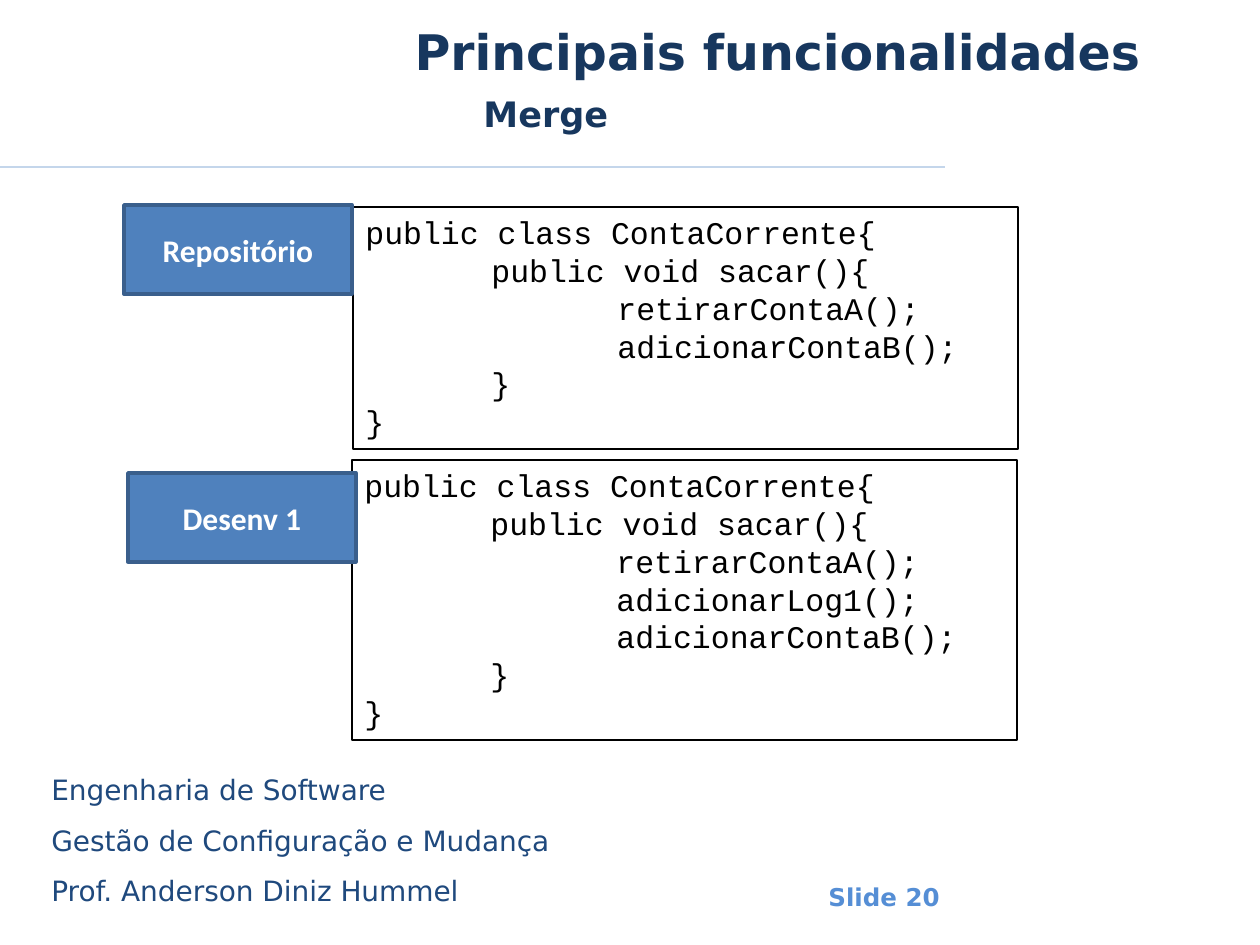
from dataclasses import dataclass

import pptx
import pptx.dml.color
import pptx.enum.shapes
import pptx.enum.text
import pptx.oxml.ns
import pptx.util
from lxml import etree

PX_PER_INCH = 126
HEADING_FONT = "DejaVu Sans"
ALIGN = pptx.enum.text.PP_ALIGN
ANCHOR = pptx.enum.text.MSO_ANCHOR


@dataclass(frozen=True)
class Area:
    left: int
    top: int
    width: int
    height: int


@dataclass(frozen=True)
class Style:
    font: str
    size: int
    color: str
    bold: bool = False


@dataclass(frozen=True)
class Label:
    text: str
    area: Area
    style: Style


@dataclass(frozen=True)
class Version:
    name: str
    name_area: Area
    code_area: Area
    calls: tuple[str, ...]


TITLE = Label("Principais funcionalidades", Area(402, 16, 843, 69),
              Style(HEADING_FONT, 28, "17375E", True))
FOOTER_STYLE = Style(HEADING_FONT, 16, "1F497D")
LABELS = (
    Label("Merge", Area(471, 86, 764, 79), Style(HEADING_FONT, 20, "17375E", True)),
    Label("Engenharia de Software", Area(39, 766, 689, 49), FOOTER_STYLE),
    Label("Gestão de Configuração e Mudança", Area(39, 817, 689, 49), FOOTER_STYLE),
    Label("Prof. Anderson Diniz Hummel", Area(39, 867, 689, 59), FOOTER_STYLE),
    Label("Slide 20", Area(816, 876, 178, 43), Style(HEADING_FONT, 14, "558ED5", True)),
)
CODE_STYLE = Style("Courier New", 18, "000000")
NAME_STYLE = Style("Calibri", 18, "FFFFFF", True)
VERSIONS = (
    Version("Repositório", Area(124, 205, 228, 89), Area(353, 207, 665, 242),
            ("retirarContaA", "adicionarContaB")),
    Version("Desenv 1", Area(128, 473, 228, 89), Area(352, 460, 665, 280),
            ("retirarContaA", "adicionarLog1", "adicionarContaB")),
)


def px(length: int) -> int:
    return round(length * pptx.util.Inches(1) / PX_PER_INCH)


def color(value: str) -> pptx.dml.color.RGBColor:
    return pptx.dml.color.RGBColor.from_string(value)


def bounds(area: Area) -> tuple[int, ...]:
    return tuple(px(side) for side in (area.left, area.top, area.width, area.height))


def set_line(item, value: str, width: float) -> None:
    item.line.color.rgb = color(value)
    item.line.width = pptx.util.Pt(width)


def write(box, text: str, style: Style, align=ALIGN.LEFT, anchor=ANCHOR.TOP, tabs=()) -> None:
    frame = box.text_frame
    frame.word_wrap = True
    frame.auto_size = pptx.enum.text.MSO_AUTO_SIZE.NONE
    frame.vertical_anchor = anchor
    frame.text = text
    for para in frame.paragraphs:
        para.alignment = align
        if tabs:
            stops = etree.SubElement(para._p.get_or_add_pPr(), pptx.oxml.ns.qn("a:tabLst"))
            for stop in tabs:
                etree.SubElement(stops, pptx.oxml.ns.qn("a:tab"), pos=str(px(stop)), algn="l")
        para.font.name = style.font
        para.font.size = pptx.util.Pt(style.size)
        para.font.bold = style.bold
        para.font.color.rgb = color(style.color)


def draw_title(page, label: Label) -> None:
    title = page.shapes.title
    title.left, title.top, title.width, title.height = bounds(label.area)
    write(title, label.text, label.style, anchor=ANCHOR.MIDDLE)


def draw_label(page, label: Label) -> None:
    write(page.shapes.add_textbox(*bounds(label.area)), label.text, label.style)


def draw_rule(page, top: int, right: int) -> None:
    rule = page.shapes.add_connector(
        pptx.enum.shapes.MSO_CONNECTOR.STRAIGHT, 0, px(top), px(right), px(top))
    set_line(rule, "C4D6EB", 0.75)
    etree.SubElement(rule._element.spPr, pptx.oxml.ns.qn("a:effectLst"))


def draw_version(page, version: Version) -> None:
    code_box = page.shapes.add_textbox(*bounds(version.code_area))
    set_line(code_box, "000000", 0.75)
    calls = [f"\t\t{call}();" for call in version.calls]
    code = "\n".join(["public class ContaCorrente{", "\tpublic void sacar(){", *calls, "\t}", "}"])
    write(code_box, code, CODE_STYLE, tabs=(PX_PER_INCH, 2 * PX_PER_INCH))

    name_box = page.shapes.add_shape(
        pptx.enum.shapes.MSO_SHAPE.RECTANGLE, *bounds(version.name_area))
    name_box.shadow.inherit = False
    name_box.fill.solid()
    name_box.fill.fore_color.rgb = color("4F81BD")
    set_line(name_box, "3A5F8C", 2)
    write(name_box, version.name, NAME_STYLE, ALIGN.CENTER, ANCHOR.MIDDLE)


def main() -> None:
    deck = pptx.Presentation()
    deck.slide_width = pptx.util.Inches(10)
    deck.slide_height = pptx.util.Inches(7.5)
    page = deck.slides.add_slide(deck.slide_layouts[5])
    draw_rule(page, 167, 945)
    draw_title(page, TITLE)
    for label in LABELS:
        draw_label(page, label)
    for version in VERSIONS:
        draw_version(page, version)
    deck.save("out.pptx")


if __name__ == "__main__":
    main()
